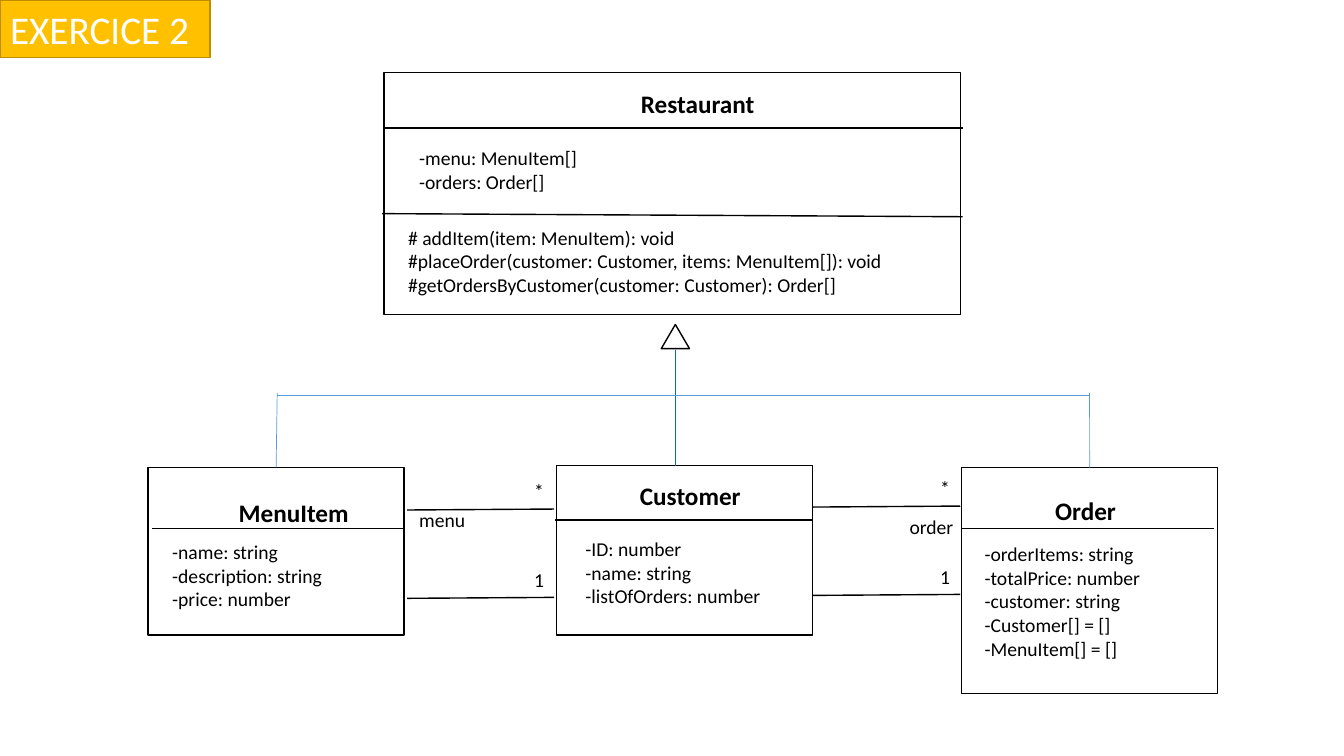
import pptx
import pptx.util
import pptx.dml.color
import pptx.enum.shapes
import pptx.enum.text
import pptx.oxml.ns
from lxml import etree

Pt = pptx.util.Pt
RGBColor = pptx.dml.color.RGBColor
SHAPE = pptx.enum.shapes.MSO_SHAPE
ANCHOR = pptx.enum.text.MSO_ANCHOR

BLACK = RGBColor(0x00, 0x00, 0x00)
WHITE = RGBColor(0xFF, 0xFF, 0xFF)
AMBER = RGBColor(0xFF, 0xC0, 0x00)
DARK_AMBER = RGBColor(0xBD, 0x8E, 0x00)
BLUE = RGBColor(0x00, 0x70, 0xC0)
LIGHT_BLUE = RGBColor(0x5B, 0x9B, 0xD5)


def write(tf, text, size=14, color=BLACK, bold=False, anchor=ANCHOR.TOP):
    """Fill a text frame, one paragraph for each line of text."""
    tf.word_wrap = True
    tf.auto_size = pptx.enum.text.MSO_AUTO_SIZE.NONE
    tf.vertical_anchor = anchor
    for i, line in enumerate(text.split("\n")):
        p = tf.paragraphs[0] if i == 0 else tf.add_paragraph()
        p.alignment = pptx.enum.text.PP_ALIGN.LEFT
        p.line_spacing = 1.0
        r = p.add_run()
        r.text = line
        r.font.name = "Calibri"
        r.font.size = Pt(size)
        r.font.bold = bold
        r.font.color.rgb = color


class Diagram:
    """Class diagram style and the slide being drawn."""

    def __init__(self, s):
        self.s = s

    def paint(self, sp, fill, line):
        sp.fill.solid()
        sp.fill.fore_color.rgb = fill
        sp.line.color.rgb = line
        sp.line.width = Pt(1)

    def title(self, text, w, h):
        sp = self.s.shapes.title
        sp.left, sp.top, sp.width, sp.height = Pt(0), Pt(0), Pt(w), Pt(h)
        self.paint(sp, AMBER, DARK_AMBER)
        write(sp.text_frame, text, size=28, color=WHITE, anchor=ANCHOR.MIDDLE)

    def shape(self, kind, x, y, w, h):
        sp = self.s.shapes.add_shape(kind, Pt(x), Pt(y), Pt(w), Pt(h))
        sp.shadow.inherit = False
        self.paint(sp, WHITE, BLACK)
        return sp

    def text(self, text, x, y, w, **style):
        h = 7.2 + 1.22 * style.get("size", 14) * len(text.split("\n"))
        sp = self.s.shapes.add_textbox(Pt(x), Pt(y), Pt(w), Pt(h))
        write(sp.text_frame, text, **style)

    def line(self, x1, y1, x2, y2, color=BLACK, width=1):
        c = self.s.shapes.add_connector(
            pptx.enum.shapes.MSO_CONNECTOR.STRAIGHT, Pt(x1), Pt(y1), Pt(x2), Pt(y2))
        c.line.color.rgb = color
        c.line.width = Pt(width)
        etree.SubElement(c._element.spPr, pptx.oxml.ns.qn("a:effectLst"))
        return c

    def entity(self, box, name, attributes, dividers):
        """Class box; name and attributes are (text, x, y, width)."""
        sp = self.shape(SHAPE.RECTANGLE, *box)
        for divider in dividers:
            self.line(*divider)
        self.text(*name, size=18, bold=True)
        self.text(*attributes)
        return sp


def main():
    prs = pptx.Presentation()
    prs.slide_width, prs.slide_height = Pt(960), Pt(540)
    d = Diagram(prs.slides.add_slide(prs.slide_layouts[5]))
    d.title("EXERCICE 2", 150, 41)

    # Parent class
    d.entity((274.3, 51.8, 411.8, 172.8),
             ("Restaurant", 450.7, 59.8, 98),
             ("-menu: MenuItem[]\n-orders: Order[]", 292.3, 100.8, 132),
             [(273.6, 91.4, 687.6, 91.4), (272.9, 152.6, 687.6, 154.8)])
    d.text("# addItem(item: MenuItem): void\n"
           "#placeOrder(customer: Customer, items: MenuItem[]): void\n"
           "#getOrdersByCustomer(customer: Customer): Order[]", 284.4, 157.7, 358)

    # Child classes
    menu_item = d.entity(
        (105.8, 334.1, 182.9, 119.5),
        ("MenuItem", 163.4, 351.4, 95),
        ("-name: string\n-description: string\n-price: number", 115.9, 382.3, 126),
        [(108.7, 377.3, 288.7, 377.3)])
    d.entity(
        (397.4, 332.6, 182.9, 121),
        ("Customer", 450, 339.8, 90),
        ("-ID: number\n-name: string\n-listOfOrders: number", 411.1, 380.2, 144),
        [(396.7, 371.5, 581, 371.5)])
    order = d.entity(
        (686.9, 334.1, 182.9, 161.3),
        ("Order", 746.6, 349.9, 60),
        ("-orderItems: string\n-totalPrice: number\n-customer: string\n"
         "-Customer[] = []\n-MenuItem[] = []", 696.2, 383.8, 130),
        [(686.9, 377.3, 866.9, 377.3)])

    # Inheritance tree
    d.shape(SHAPE.ISOSCELES_TRIANGLE, 472.3, 231.8, 20.2, 17.3)
    d.line(482.4, 249.8, 482.4, 332.6, color=BLUE)
    for child, x in ((menu_item, 198), (order, 778.3)):
        branch = d.line(x, 334.1, x, 280.8, color=LIGHT_BLUE, width=0.5)
        branch.begin_connect(child, 0)
    d.line(198, 282.2, 778.3, 282.2, color=LIGHT_BLUE, width=0.5)

    # Associations: left end, top line, label and its place
    for x, y, label, label_x, label_y in (
            (290.9, 364.3, "menu", 292.3, 359.3),
            (580.9, 362.2, "order", 642.6, 364.3)):
        for mark, dy in (("*", 0), ("1", 63.1)):
            d.line(x, y + dy, x + 105, y + dy - 0.7)
            d.text(mark, x + 83.5, y + dy - 25.5, 22)
        d.text(label, label_x, label_y, 50)

    prs.save("out.pptx")


if __name__ == "__main__":
    main()
